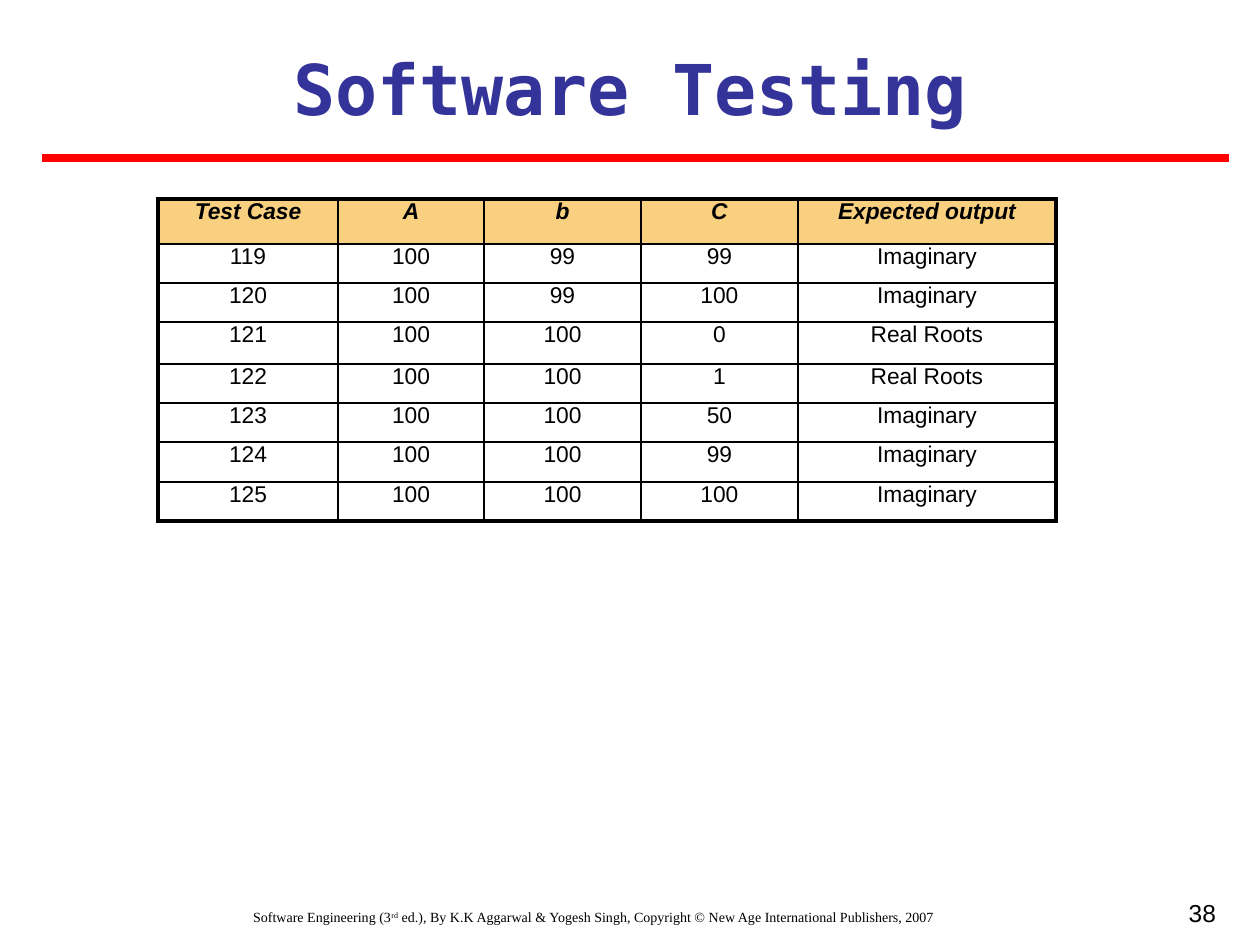
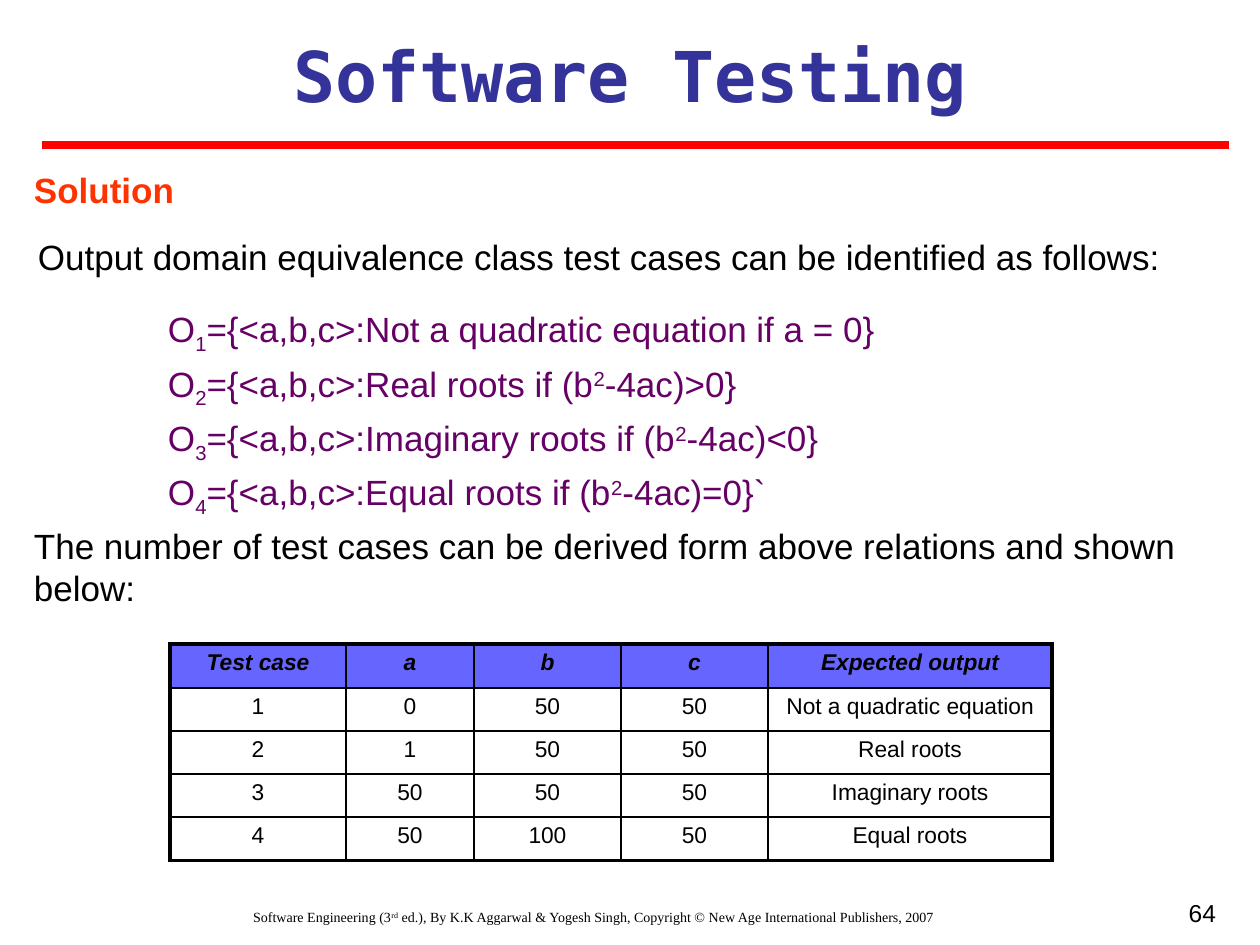
"""Builds two software testing slides with test case tables."""
from lxml import etree
from pptx import Presentation
from pptx.dml.color import RGBColor
from pptx.enum.shapes import MSO_CONNECTOR
from pptx.enum.text import MSO_ANCHOR, PP_ALIGN
from pptx.oxml.ns import qn
from pptx.util import Pt

EMU_PER_PX = 914400 / 126
STRAIGHT = MSO_CONNECTOR.STRAIGHT
TOP = MSO_ANCHOR.TOP
LEFT, CENTER, RIGHT = PP_ALIGN.LEFT, PP_ALIGN.CENTER, PP_ALIGN.RIGHT

BLACK = RGBColor(0x00, 0x00, 0x00)
NAVY = RGBColor(0x33, 0x33, 0x99)
RED = RGBColor(0xFF, 0x00, 0x00)
ORANGE_RED = RGBColor(0xFF, 0x33, 0x00)
PURPLE = RGBColor(0x66, 0x00, 0x66)
SAND = RGBColor(0xF8, 0xD0, 0x80)
PERIWINKLE = RGBColor(0x66, 0x66, 0xFF)

TITLE = {"name": "DejaVu Sans Mono", "size": Pt(40), "bold": True, "color": NAVY}
HEADING = {"name": "Arial", "size": Pt(20), "bold": True, "color": ORANGE_RED}
BODY = {"name": "Arial", "size": Pt(20), "color": BLACK}
FORMULA = {**BODY, "color": PURPLE}
CELL = {"name": "Arial", "size": Pt(13), "bold": False, "italic": False, "color": BLACK}
HEADER_CELL = {**CELL, "bold": True, "italic": True}
FOOTER = {"name": "Times New Roman", "size": Pt(8), "color": BLACK}
PAGE_NUMBER = {"name": "Arial", "size": Pt(14), "color": BLACK}

SUB, SUPER = -25000, 30000
PADDING = (13, 6)
CITATION = [
    ("Software Engineering (3", 0),
    ("rd", SUPER),
    (" ed.), By K.K Aggarwal & Yogesh Singh, Copyright © New Age International Publishers, 2007", 0),
]


def px(length):
    """Turn pixels into EMU."""
    return round(length * EMU_PER_PX)


class Deck:
    """Holds the shared style and the current slide."""

    def __init__(self):
        """Start an empty 10 by 7.5 inch presentation."""
        self.presentation = Presentation()
        self.presentation.slide_width = px(1260)
        self.presentation.slide_height = px(945)
        self.slide = None

    def new_slide(self, number, title_top):
        """Add a slide with its footer, page number, title and rule."""
        blank = self.presentation.slide_layouts[6]
        self.slide = self.presentation.slides.add_slide(blank)
        self.text((32, 903, 1124, 42), [CITATION], FOOTER, CENTER, PADDING)
        self.text((935, 892, 294, 74), [[(str(number), 0)]], PAGE_NUMBER, RIGHT, PADDING)
        self.text((42, title_top, 1176, 97), [[("Software Testing", 0)]], TITLE, CENTER, PADDING)
        self.rule(42, 1229, title_top + 118)

    def style(self, font, values):
        """Apply a dict of format values to a font."""
        for key, value in values.items():
            if key == "color":
                font.color.rgb = value
            else:
                setattr(font, key, value)

    def inset(self, holder, padding):
        """Set the inner margins of a frame or cell."""
        across, down = padding
        margins = {"left": across, "right": across, "top": down, "bottom": down}
        for side, length in margins.items():
            setattr(holder, f"margin_{side}", px(length))

    def text(self, box, lines, values, align=LEFT, padding=(0, 0), spacing=None, gap=None):
        """Add a text box whose lines are lists of (text, baseline) runs."""
        frame = self.slide.shapes.add_textbox(*map(px, box)).text_frame
        frame.word_wrap = True
        frame.vertical_anchor = TOP
        self.inset(frame, padding)
        for index, line in enumerate(lines):
            paragraph = frame.add_paragraph() if index else frame.paragraphs[0]
            paragraph.alignment = align
            paragraph.line_spacing = spacing
            if index:
                paragraph.space_before = gap
            for words, baseline in line:
                run = paragraph.add_run()
                run.text = words
                self.style(run.font, values)
                if baseline:
                    run.font._element.set("baseline", str(baseline))

    def rule(self, left, right, y):
        """Draw the red rule below the title."""
        rule = self.slide.shapes.add_connector(STRAIGHT, px(left), px(y), px(right), px(y))
        rule.line.color.rgb = RED
        rule.line.width = Pt(4.5)
        etree.SubElement(rule._element.spPr, qn("a:effectLst"))

    def borders(self, cell, outer_sides):
        """Give a cell black borders, thicker on the outer sides."""
        properties = cell._tc.get_or_add_tcPr()
        for side, is_outer in outer_sides.items():
            width = Pt(2.25 if is_outer else 1)
            border = etree.SubElement(properties, qn(f"a:ln{side}"), w=str(width))
            fill = etree.SubElement(border, qn("a:solidFill"))
            etree.SubElement(fill, qn("a:srgbClr"), val=str(BLACK))

    def table(self, left, top, widths, heights, rows, header_fill, padding):
        """Add a bordered table with a coloured header row."""
        table = self.slide.shapes.add_table(
            len(rows), len(widths), px(left), px(top), px(sum(widths)), px(sum(heights))
        ).table
        table.first_row = table.horz_banding = False
        for column, width in zip(table.columns, widths):
            column.width = px(width)
        for row, height in zip(table.rows, heights):
            row.height = px(height)
        last_row, last_column = len(rows) - 1, len(widths) - 1
        for r, values in enumerate(rows):
            for c, value in enumerate(values):
                cell = table.cell(r, c)
                self.inset(cell, padding)
                self.borders(cell, {"L": c == 0, "R": c == last_column,
                                    "T": r == 0, "B": r == last_row})
                if r == 0:
                    cell.fill.solid()
                    cell.fill.fore_color.rgb = header_fill
                else:
                    cell.fill.background()
                paragraph = cell.text_frame.paragraphs[0]
                paragraph.alignment = CENTER
                run = paragraph.add_run()
                run.text = str(value)
                self.style(run.font, CELL if r else HEADER_CELL)


def boundary_slide(deck):
    """Build the slide with the last worst-case test cases."""
    deck.new_slide(38, 40)
    test_cases = [
        ("Test Case", "A", "b", "C", "Expected output"),
        (119, 100, 99, 99, "Imaginary"),
        (120, 100, 99, 100, "Imaginary"),
        (121, 100, 100, 0, "Real Roots"),
        (122, 100, 100, 1, "Real Roots"),
        (123, 100, 100, 50, "Imaginary"),
        (124, 100, 100, 99, "Imaginary"),
        (125, 100, 100, 100, "Imaginary"),
    ]
    deck.table(158, 199, (180, 146, 157, 157, 258), (45, 39, 39, 42, 39, 39, 40, 39),
               test_cases, SAND, (13, 0))


def equivalence_slide(deck):
    """Build the slide with the output domain equivalence classes."""
    deck.new_slide(64, 27)
    deck.text((34, 168, 1169, 42), [[("Solution", 0)]], HEADING)
    deck.text((38, 235, 1169, 42), [[(
        "Output domain equivalence class test cases can be identified as follows:", 0)]], BODY)

    conditions = [[("Not a quadratic equation if a = 0}", 0)]]
    for roots, ending in (("Real", ">0}"), ("Imaginary", "<0}"), ("Equal", "=0}`")):
        conditions.append([(f"{roots} roots if (b", 0), ("2", SUPER), (f"-4ac){ending}", 0)])
    classes = []
    for number, (start, *rest) in enumerate(conditions, 1):
        definition = ("={<a,b,c>:" + start[0], 0)
        classes.append([("O", 0), (str(number), SUB), definition, *rest])
    deck.text((168, 316, 791, 183), classes, FORMULA, spacing=0.7, gap=Pt(12))

    deck.text((34, 525, 1169, 84), [[(
        "The number of test cases can be derived form above relations and shown below:", 0)]], BODY)
    test_cases = [
        ("Test case", "a", "b", "c", "Expected output"),
        (1, 0, 50, 50, "Not a quadratic equation"),
        (2, 1, 50, 50, "Real roots"),
        (3, 50, 50, 50, "Imaginary roots"),
        (4, 50, 100, 50, "Equal roots"),
    ]
    deck.table(170, 644, (176, 128, 147, 147, 284), (44, 43, 43, 43, 44),
               test_cases, PERIWINKLE, PADDING)


def main():
    """Build both slides and save them."""
    deck = Deck()
    boundary_slide(deck)
    equivalence_slide(deck)
    deck.presentation.save("out.pptx")


if __name__ == "__main__":
    main()
